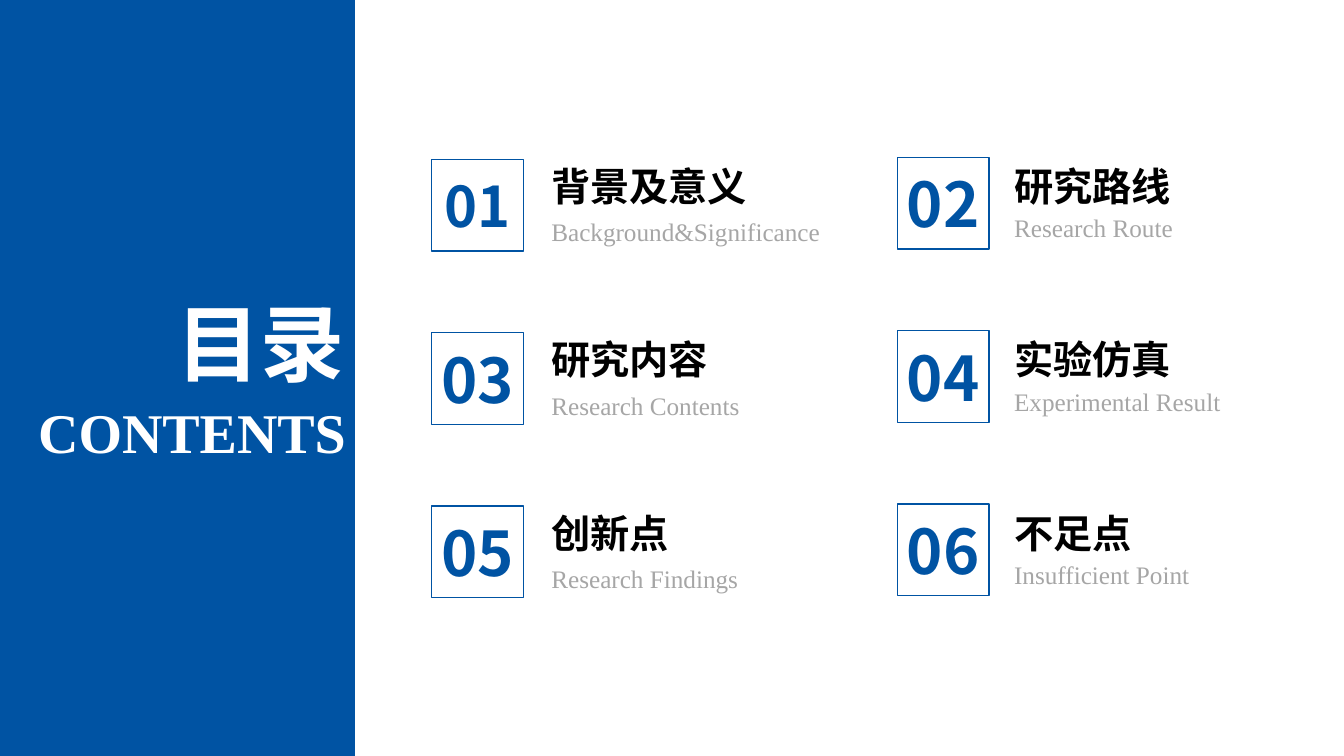
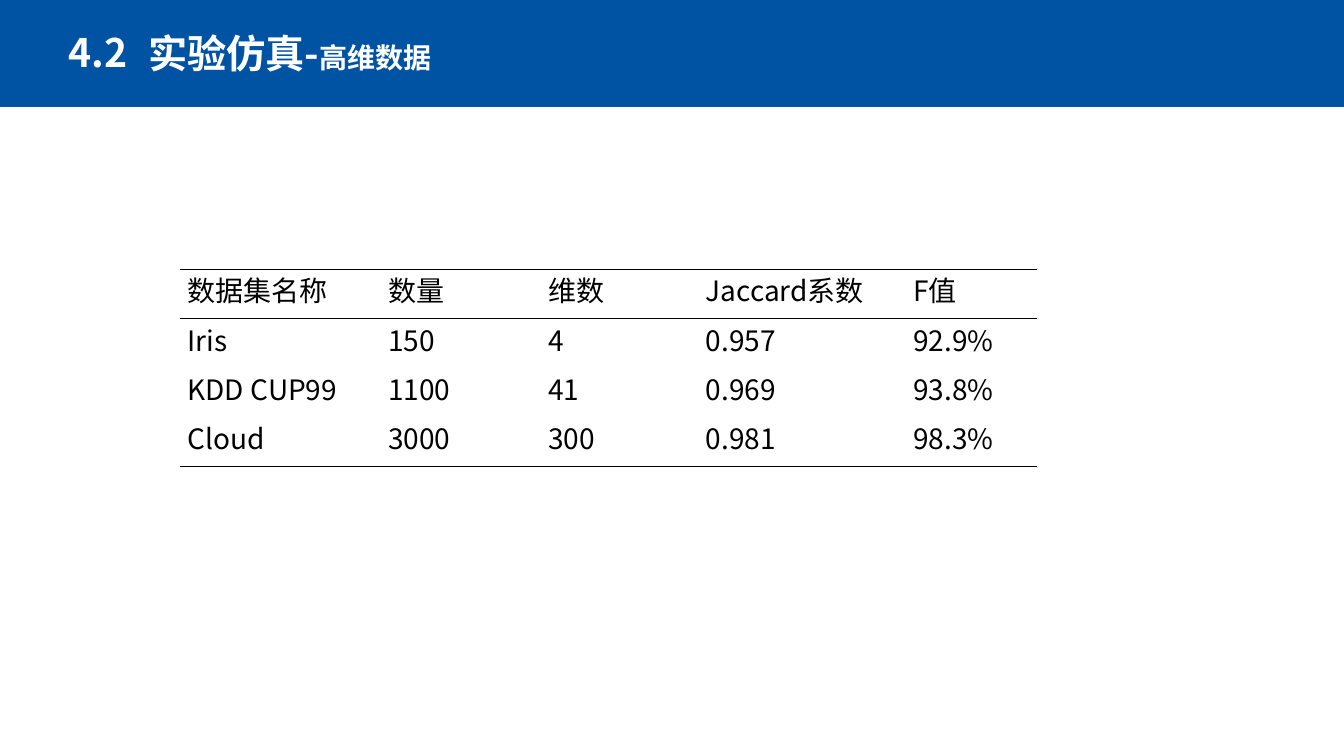
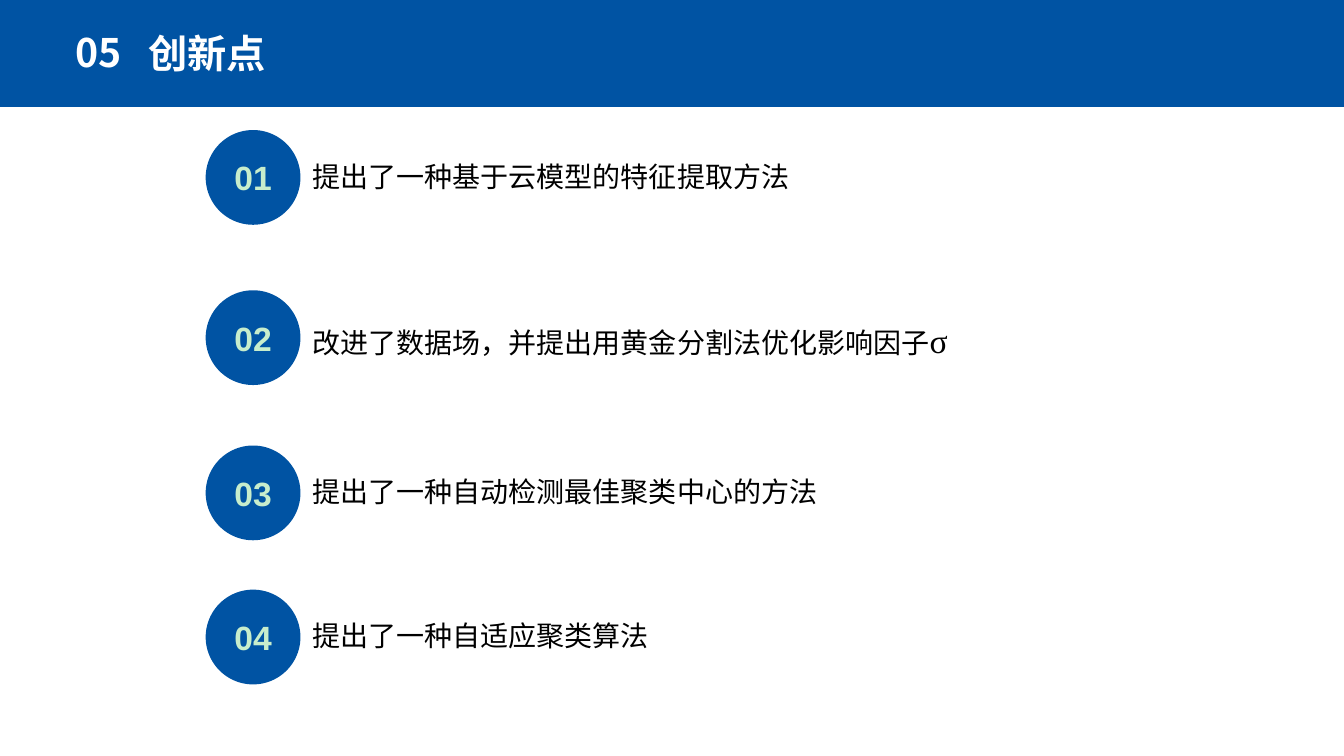
from pptx import Presentation
from pptx.dml.color import RGBColor
from pptx.enum.shapes import MSO_SHAPE
from pptx.enum.text import MSO_ANCHOR, PP_ALIGN
from pptx.oxml.ns import qn
from pptx.oxml.xmlchemy import OxmlElement
from pptx.util import Inches, Pt

RECT, OVAL = MSO_SHAPE.RECTANGLE, MSO_SHAPE.OVAL
LEFT, CENTER, RIGHT = PP_ALIGN.LEFT, PP_ALIGN.CENTER, PP_ALIGN.RIGHT
MIDDLE = MSO_ANCHOR.MIDDLE
BLUE, WHITE, BLACK, GREY, MINT = "0053A3", "FFFFFF", "000000", "A6A6A6", "C7EDCC"
SANS, SERIF, ARIAL = "Noto Sans CJK SC", "Times New Roman", "Arial"
WIDTH, HEIGHT = 13.33, 7.5


def rgb(value):
    """Turn a hex string into a colour."""
    return RGBColor.from_string(value)


class Deck:
    """Hold the presentation, its style and the current slide."""

    def __init__(self):
        """Start an empty widescreen presentation."""
        self.prs = Presentation()
        self.prs.slide_width, self.prs.slide_height = Inches(WIDTH), Inches(HEIGHT)
        self.s = None

    def slide(self):
        """Add a blank slide and make it current."""
        self.s = self.prs.slides.add_slide(self.prs.slide_layouts[6])

    def style(self, p, size, color=BLACK, font=SANS, bold=False, align=LEFT):
        """Set the font and alignment of a paragraph."""
        p.alignment = align
        p.font.size, p.font.bold, p.font.name = Pt(size), bold, font
        p.font.color.rgb = rgb(color)
        ea = OxmlElement("a:ea")
        ea.set("typeface", SANS)
        p._p.get_or_add_pPr().find(qn("a:defRPr")).append(ea)

    def text(self, x, y, w, h, runs, size, **style):
        """Add a text box from a string or from (text, size, font) runs."""
        tf = self.s.shapes.add_textbox(Inches(x), Inches(y), Inches(w), Inches(h)).text_frame
        tf.word_wrap = True
        p = tf.paragraphs[0]
        self.style(p, size, **style)
        if isinstance(runs, str):
            runs = [(runs, None, None)]
        for text, run_size, font in runs:
            r = p.add_run()
            r.text = text
            if run_size:
                r.font.size, r.font.name = Pt(run_size), font

    def shape(self, kind, x, y, w, h, fill=None, line=None, text=None, **style):
        """Add a preset shape with an optional centred label."""
        sp = self.s.shapes.add_shape(kind, Inches(x), Inches(y), Inches(w), Inches(h))
        sp.shadow.inherit = False
        if fill:
            sp.fill.solid()
            sp.fill.fore_color.rgb = rgb(fill)
        else:
            sp.fill.background()
        if line:
            sp.line.color.rgb = rgb(line)
            sp.line.width = Pt(1)
        else:
            sp.line.fill.background()
        if text:
            tf = sp.text_frame
            tf.word_wrap = False
            tf.vertical_anchor = MIDDLE
            tf.text = text
            self.style(tf.paragraphs[0], bold=True, align=CENTER, **style)

    def header(self, number, title):
        """Add the top band with the section number and title."""
        self.shape(RECT, 0, 0, WIDTH, 1.06, BLUE)
        self.text(1.37, 0.24, 5.91, 0.57, title, 28, color=WHITE, bold=True)
        self.text(0.52, 0.23, 0.91, 0.57, number, 28, color=WHITE, bold=True, align=CENTER)

    def border(self, cell, side, visible):
        """Draw or hide one border of a table cell."""
        ln = OxmlElement(f"a:ln{side}")
        ln.set("w", str(Pt(1)))
        fill = OxmlElement("a:solidFill" if visible else "a:noFill")
        if visible:
            color = OxmlElement("a:srgbClr")
            color.set("val", BLACK)
            fill.append(color)
        ln.append(fill)
        cell._tc.get_or_add_tcPr().append(ln)

    def table(self, x, y, widths, row_height, rows, rules):
        """Add an open table with horizontal rules at the given row edges."""
        frame = self.s.shapes.add_table(len(rows), len(widths), Inches(x), Inches(y),
                                        Inches(sum(widths)), Inches(row_height * len(rows)))
        table = frame.table
        table.first_row = table.horz_banding = False
        for column, width in zip(table.columns, widths):
            column.width = Inches(width)
        for i, row in enumerate(rows):
            for j, text in enumerate(row):
                cell = table.cell(i, j)
                cell.text = text
                cell.margin_left = cell.margin_right = Inches(0.07)
                cell.margin_top = cell.margin_bottom = 0
                self.style(cell.text_frame.paragraphs[0], 20)
                edges = {"L": False, "R": False, "T": i in rules, "B": i + 1 in rules}
                for side, visible in edges.items():
                    self.border(cell, side, visible)
                cell.fill.background()


def contents(deck):
    """Build the table of contents."""
    deck.slide()
    deck.shape(RECT, 0, 0, 3.52, HEIGHT, BLUE)
    deck.text(0.98, 2.84, 2.54, 1.11, "目录", 60, color=WHITE, bold=True, align=RIGHT)
    deck.text(0, 3.89, 3.53, 0.77, "CONTENTS", 40, color=WHITE, font=SERIF, bold=True, align=RIGHT)
    sections = [("背景及意义", "Background&Significance"), ("研究路线", "Research Route"),
                ("研究内容", "Research Contents"), ("实验仿真", "Experimental Result"),
                ("创新点", "Research Findings"), ("不足点", "Insufficient Point")]
    columns = [(4.28, 1.58, 5.37, -0.02, 0.52), (8.9, 1.56, 9.96, 0, 0.5)]
    for i, (title, subtitle) in enumerate(sections):
        box_x, top, text_x, title_dy, subtitle_dy = columns[i % 2]
        y = top + i // 2 * 1.72
        deck.shape(RECT, box_x, y, 0.91, 0.91, line=BLUE, text=f"{i + 1:02}",
                   size=44 if i else 40, color=BLUE)
        deck.text(text_x, y + title_dy, 2.62, 0.57, title, 28, bold=True)
        deck.text(text_x, y + subtitle_dy, 3, 0.4, subtitle, 18, color=GREY, font=SERIF)


def results(deck):
    """Build the results table."""
    deck.slide()
    deck.header("4.2", [("实验仿真-", 28, SANS), ("高维数据", 20, SANS)])
    rows = [["数据集名称", "数量", "维数", "Jaccard系数", "F值"],
            ["Iris", "150", "4", "0.957", "92.9%"],
            ["KDD CUP99", "1100", "41", "0.969", "93.8%"],
            ["Cloud", "3000", "300", "0.981", "98.3%"]]
    deck.table(1.79, 2.67, [1.99, 1.59, 1.56, 2.06, 1.3], 0.49, rows, rules=(0, 1, 4))


def innovations(deck):
    """Build the numbered list of innovations."""
    deck.slide()
    deck.header("05", "创新点")
    points = [(1.29, "提出了一种基于云模型的特征提取方法"),
              (2.88, [("改进了数据场，并提出用黄金分割法优化影响因子", 20, ARIAL), ("σ", 24, SERIF)]),
              (4.42, "提出了一种自动检测最佳聚类中心的方法"),
              (5.85, "提出了一种自适应聚类算法")]
    for i, (y, point) in enumerate(points, 1):
        deck.shape(OVAL, 2.04, y, 0.94, 0.94, BLUE, text=f"{i:02}", size=24, color=MINT, font=ARIAL)
        deck.text(3, y + 0.24, 9, 0.44, point, 20, font=ARIAL)


def main():
    """Build and save the presentation."""
    deck = Deck()
    contents(deck)
    results(deck)
    innovations(deck)
    deck.prs.save("out.pptx")


if __name__ == "__main__":
    main()
